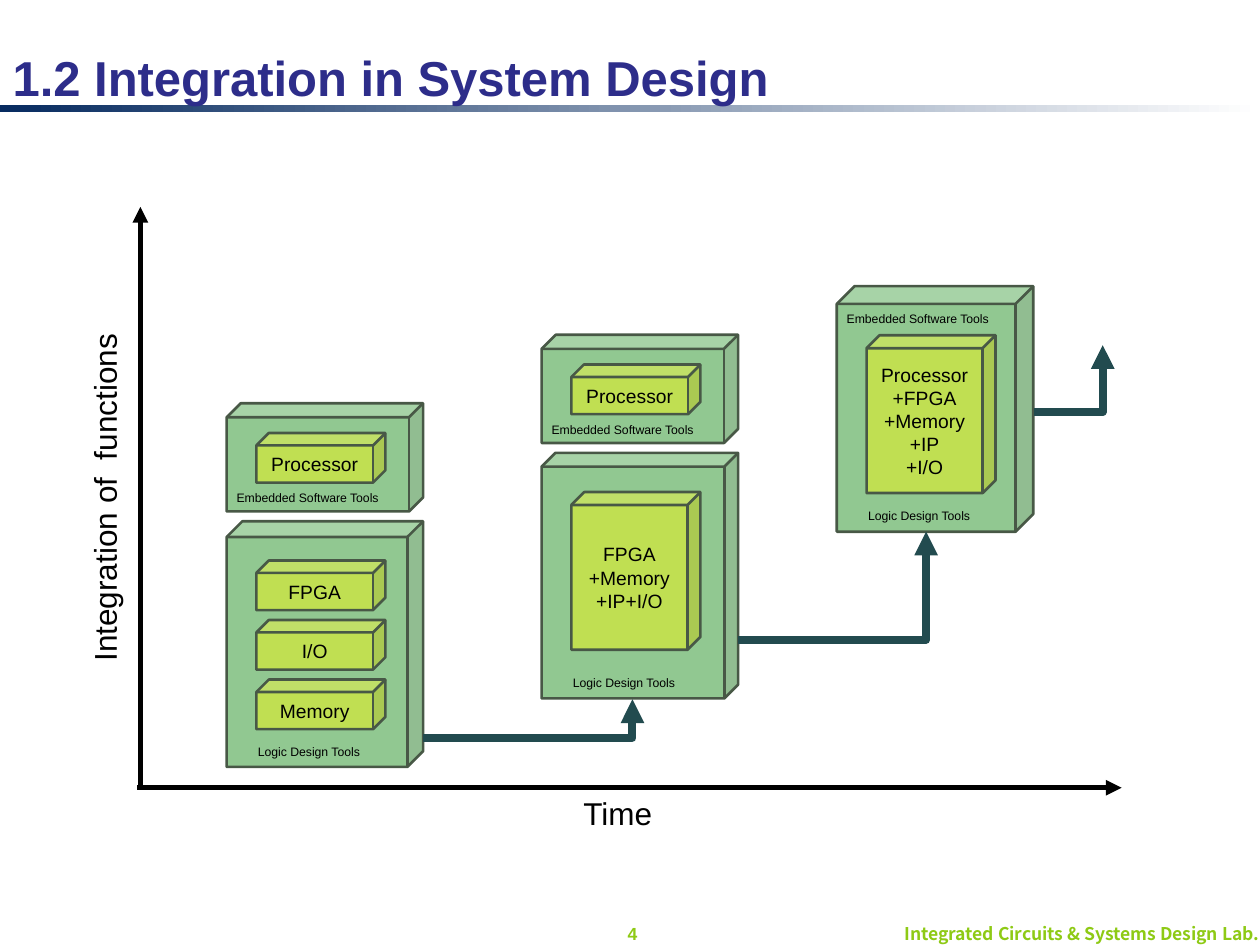
from lxml.etree import SubElement
from pptx import Presentation
from pptx.dml.color import RGBColor
from pptx.enum.shapes import MSO_CONNECTOR, MSO_SHAPE
from pptx.enum.text import MSO_ANCHOR, MSO_AUTO_SIZE, PP_ALIGN
from pptx.oxml.ns import qn
from pptx.util import Cm, Pt

GREEN, YELLOW, EDGE = "008000", "FFFF00", "485846"
TEAL, LIME, BLACK = "224B4F", "8ECA15", "000000"
WIDE, SLIM = 3.96, 2.6      # widths of outer and inner cubes
SHORT, TALL = 2.18, 4.95    # heights of outer cubes
LOW, HIGH = 1.0, 3.18       # heights of inner cubes
INSET = 0.6                 # inner cube from the outer left edge


def color(code):
    return RGBColor.from_string(code)


def style(frame, size, tone=BLACK, align=PP_ALIGN.LEFT, bold=False, face="Arial"):
    for para in frame.paragraphs:
        para.alignment = align
        for run in para.runs:
            font = run.font
            font.name, font.size, font.bold = face, Pt(size), bold
            font.color.rgb = color(tone)


def label(slide, text, x, y, w, h, size, **look):
    box = slide.shapes.add_textbox(Cm(x), Cm(y), Cm(w), Cm(h))
    frame = box.text_frame
    frame.word_wrap = True
    frame.text = text
    style(frame, size, **look)
    return box


def cube(slide, x, y, w, h, depth, tone, text=""):
    box = slide.shapes.add_shape(MSO_SHAPE.CUBE, Cm(x), Cm(y), Cm(w), Cm(h))
    box.adjustments[0] = depth
    box.shadow.inherit = False
    box.fill.solid()
    box.fill.fore_color.rgb = color(tone)
    tint = box.fill._xPr.find(qn("a:solidFill"))[0]
    SubElement(tint, qn("a:alpha")).set("val", "43000")
    box.line.color.rgb = color(EDGE)
    box.line.width = Pt(1.5)
    if text:
        frame = box.text_frame
        frame.word_wrap = True
        frame.vertical_anchor = MSO_ANCHOR.MIDDLE
        frame.text = text
        style(frame, 11, align=PP_ALIGN.CENTER)


def outer(slide, x, y, h, depth):
    cube(slide, x, y, WIDE, h, depth, GREEN)


def inner(slide, x, y, h, text):
    cube(slide, x + INSET, y, SLIM, h, 0.25 if h == LOW else 0.1, YELLOW, text)


def soft(slide, x, y):
    label(slide, "Embedded Software Tools", x - 0.05, y, 3.61, 0.55, 7)


def logic(slide, x, top):
    label(slide, "Logic Design Tools", x + 0.38, top + 4.36, 2.77, 0.55, 7)


def arrow(slide, x1, y1, x2, y2, tone, width, bent=False):
    kind = MSO_CONNECTOR.ELBOW if bent else MSO_CONNECTOR.STRAIGHT
    link = slide.shapes.add_connector(kind, Cm(x1), Cm(y1), Cm(x2), Cm(y2))
    link.line.color.rgb = color(tone)
    link.line.width = Pt(width)
    props = link._element.spPr
    if bent:  # a single corner: across, then up
        props.find(qn("a:prstGeom")).set("prst", "bentConnector2")
    SubElement(props.find(qn("a:ln")), qn("a:tailEnd")).set("type", "triangle")
    SubElement(props, qn("a:effectLst"))


def header(slide):
    # Fading rule under the title
    bar = slide.shapes.add_shape(MSO_SHAPE.RECTANGLE, 0, Cm(2.11), Cm(25.4), Cm(0.15))
    bar.shadow.inherit = False
    bar.line.fill.background()
    bar.fill.gradient()
    bar.fill.gradient_angle = 0
    for stop, tone, place in zip(bar.fill.gradient_stops, ("072B60", "FFFFFF"), (0, 1)):
        stop.color.rgb = color(tone)
        stop.position = place
    # Title
    title = slide.shapes.title
    title.left, title.top, title.width, title.height = 0, Cm(0.91), Cm(25.4), Cm(1.27)
    frame = title.text_frame
    frame.text = "1.2 Integration in System Design"
    frame.auto_size = MSO_AUTO_SIZE.NONE
    frame.word_wrap = False
    frame.vertical_anchor = MSO_ANCHOR.MIDDLE
    style(frame, 28, "2D2D8A", bold=True)
    slide.shapes._spTree.append(title._element)


def footer(slide):
    lab = label(slide, "Integrated Circuits & Systems Design Lab.", 0.33, 18.57, 25.3, 0.48,
                10, tone=LIME, align=PP_ALIGN.RIGHT, bold=True, face="Noto Sans CJK KR")
    page = label(slide, "4", 11.76, 18.47, 1.98, 0.68, 10, tone=LIME,
                 align=PP_ALIGN.CENTER, bold=True)
    for box in (lab, page):
        box.text_frame.vertical_anchor = MSO_ANCHOR.MIDDLE


def axes(slide):
    arrow(slide, 2.83, 15.88, 2.83, 4.17, BLACK, 3)
    arrow(slide, 2.77, 15.88, 22.61, 15.88, BLACK, 3)
    label(slide, "Integration of  functions", -1.5, 9.47, 7.21, 1.02, 18).rotation = 270
    label(slide, "Time", 11.51, 15.88, 1.96, 1.02, 18)


def stages(slide):
    # Two separate tool sets
    pairs = [
        (4.57, 8.13, 10.51, 0.08, [(0.79 + 1.2 * i, LOW, part)
                                   for i, part in enumerate(("FPGA", "I/O", "Memory"))]),
        (10.92, 6.75, 9.13, 0.07, [(0.79, HIGH, "FPGA\n+Memory\v+IP+I/O")]),
    ]
    for x, top, base, depth, parts in pairs:
        outer(slide, x, top, SHORT, 0.13)
        outer(slide, x, base, TALL, depth)
        inner(slide, x, top + 0.6, LOW, "Processor")
        for drop, h, text in parts:
            inner(slide, x, base + drop, h, text)
        soft(slide, x, top + 1.63)
        logic(slide, x, base)
    # One merged tool set
    x, top = 16.87, 5.77
    outer(slide, x, top, TALL, 0.09)
    inner(slide, x, top + 0.99, HIGH, "Processor\v+FPGA\n+Memory\n+IP\n+I/O")
    soft(slide, x, top + 0.38)
    logic(slide, x, top)


def main():
    deck = Presentation()
    deck.slide_width, deck.slide_height = Cm(25.4), Cm(19.05)
    slide = deck.slides.add_slide(deck.slide_layouts[5])
    header(slide)
    footer(slide)
    axes(slide)
    stages(slide)
    # Steps from stage to stage
    for step in ((8.53, 14.88, 12.75, 14.1), (14.88, 12.9, 18.67, 10.72),
                 (20.85, 8.31, 22.23, 6.96)):
        arrow(slide, *step, TEAL, 4.5, bent=True)
    deck.save("out.pptx")


if __name__ == "__main__":
    main()
